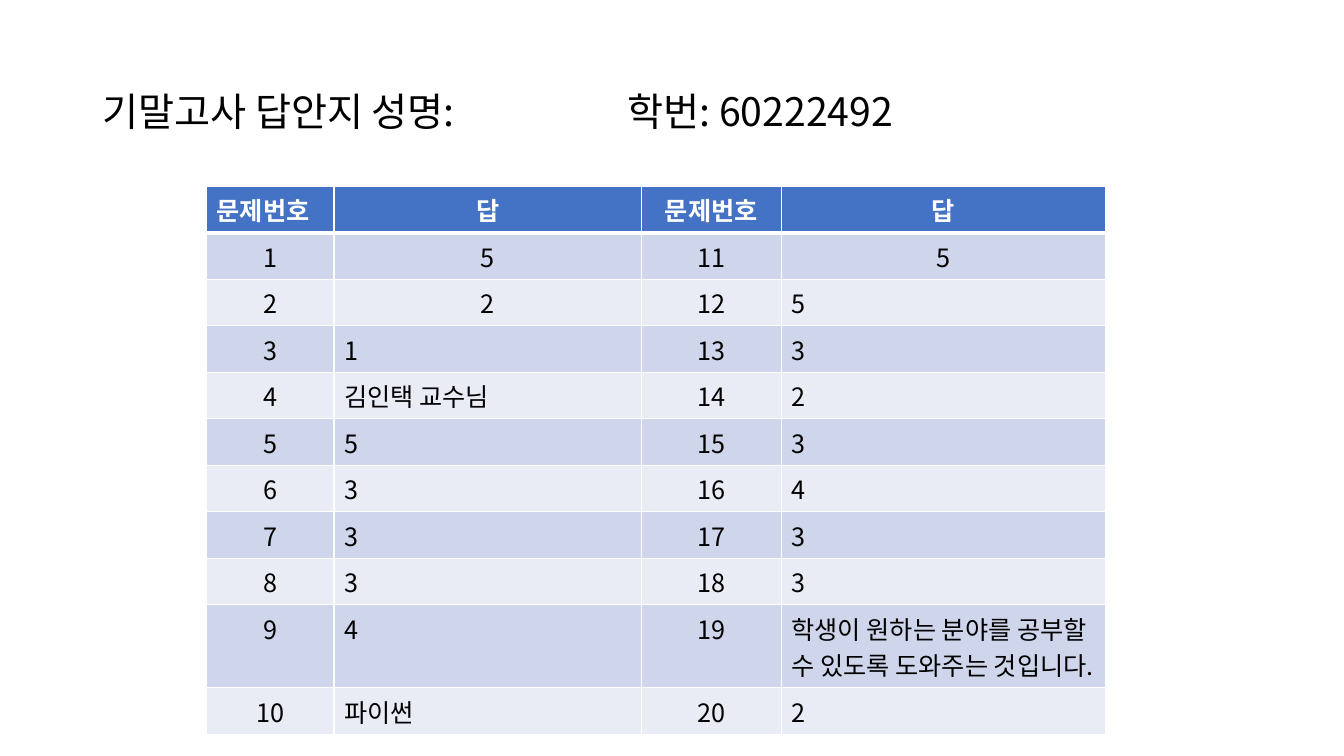
"""Build the final exam answer sheet slide."""
from lxml.etree import SubElement
from pptx import Presentation
from pptx.dml.color import RGBColor
from pptx.enum.text import MSO_ANCHOR, PP_ALIGN
from pptx.oxml.ns import qn
from pptx.util import Pt

FONT = "Noto Sans CJK KR"


def paint(fill, color):
    fill.solid()
    fill.fore_color.rgb = RGBColor.from_string(color)


def style(para, size, color, bold=False):
    font = para.font
    font.size = Pt(size)
    font.bold = bold
    font.name = FONT
    paint(font.fill, color)
    SubElement(font._rPr, qn("a:ea"), typeface=FONT)


deck = Presentation()
deck.slide_width, deck.slide_height = Pt(960), Pt(540)
slide = deck.slides.add_slide(deck.slide_layouts[6])

title = slide.shapes.add_textbox(Pt(66), Pt(28.8), Pt(828), Pt(104.4)).text_frame
title.word_wrap = True
title.vertical_anchor = MSO_ANCHOR.MIDDLE
para = title.paragraphs[0]
para.text = "기말고사 답안지 성명:\t학번: 60222492"
para.line_spacing = 0.9
tabs = SubElement(para._p.get_or_add_pPr(), qn("a:tabLst"))
SubElement(tabs, qn("a:tab"), pos=str(Pt(375.1)), algn="l")
style(para, 28, "000000")

left = ["5", "2", "1", "김인택 교수님", "5", "3", "3", "3", "4", "파이썬"]
right = ["5", "5", "3", "2", "3", "4", "3", "3",
         "학생이 원하는 분야를 공부할 수 있도록 도와주는 것입니다.", "2"]
rows = [["문제번호", "답"] * 2]
for num, (first, second) in enumerate(zip(left, right), 1):
    rows.append([str(num), first, str(num + 10), second])

widths = [91, 219.5, 100.1, 231.2]
highs = [33.2] * len(rows)
highs[9] = 59.4
grid = slide.shapes.add_table(len(rows), len(widths), Pt(147.6), Pt(133.2),
                              Pt(sum(widths)), Pt(sum(highs))).table
for col, width in zip(grid.columns, widths):
    col.width = Pt(width)

flush = {(0, 0), (2, 3)}
for r, row in enumerate(rows):
    grid.rows[r].height = Pt(highs[r])
    head = r == 0
    shade = "4472C4" if head else "CFD5EA" if r % 2 else "E9EBF5"
    for c, text in enumerate(row):
        cell = grid.cell(r, c)
        props = cell._tc.get_or_add_tcPr()
        for side in "LRTB":
            thick = (r, side) in {(0, "B"), (1, "T")}
            edge = SubElement(props, qn("a:ln" + side), w=str(Pt(3 if thick else 1)))
            ink = SubElement(edge, qn("a:solidFill"))
            SubElement(ink, qn("a:srgbClr"), val="FFFFFF")
        paint(cell.fill, shade)
        para = cell.text_frame.paragraphs[0]
        para.text = text
        if (r < 3 or c % 2 == 0) and (r, c) not in flush:
            para.alignment = PP_ALIGN.CENTER
        style(para, 18, "FFFFFF" if head else "000000", head)

deck.save("out.pptx")
